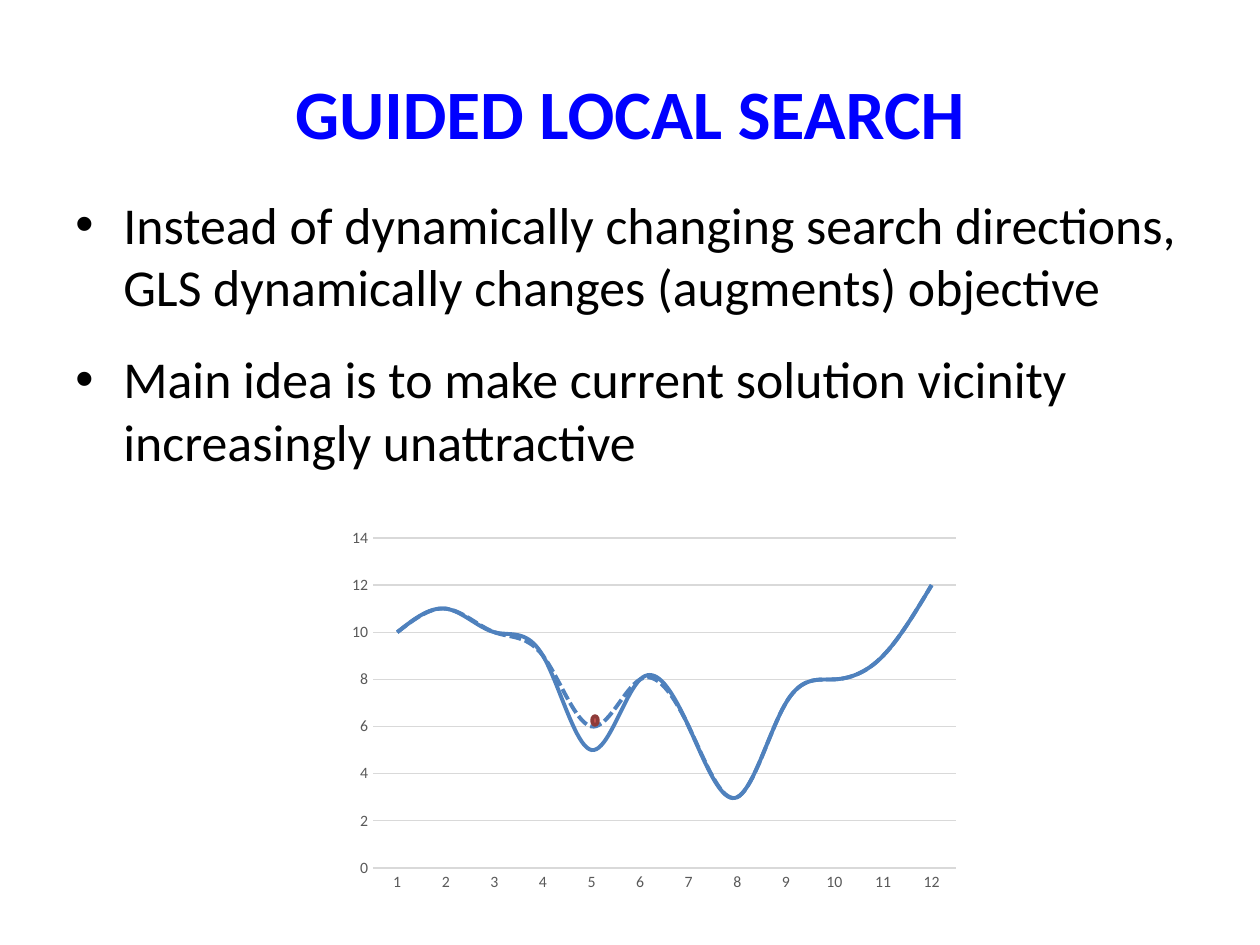
from lxml import etree
from pptx import Presentation
from pptx.chart.data import CategoryChartData
from pptx.dml.color import RGBColor
from pptx.enum.chart import XL_CHART_TYPE, XL_TICK_MARK
from pptx.enum.dml import MSO_LINE
from pptx.enum.shapes import MSO_SHAPE
from pptx.enum.text import MSO_ANCHOR, PP_ALIGN
from pptx.oxml.ns import qn
from pptx.util import Pt

LINE = XL_CHART_TYPE.LINE
NONE = XL_TICK_MARK.NONE
DASH = MSO_LINE.SQUARE_DOT
OVAL = MSO_SHAPE.OVAL
MIDDLE, TOP = MSO_ANCHOR.MIDDLE, MSO_ANCHOR.TOP
CENTER, LEFT = PP_ALIGN.CENTER, PP_ALIGN.LEFT

TITLE = ["GUIDED LOCAL SEARCH"]
POINTS = [
    "Instead of dynamically changing search directions, GLS dynamically changes (augments) objective",
    "Main idea is to make current solution vicinity increasingly unattractive",
]
CATS = [str(n) for n in range(1, 13)]
SERIES = [
    ("Series 1", [10, 11, 10, 9, 5, 8, 6, 3, 7, 8, 9, 12], None),
    ("Series 2", [10, 11, 10, 9, 6, 8, 6, 3, 7, 8, 9, 12], DASH),
]
FRAME = (339, 520, 630, 378)
PLOT = (373, 538, 583, 330)
FONT = "Calibri"
BLUE, BLACK, GRAY, GRID = "0000FF", "000000", "595959", "D9D9D9"
CURVE, RED, RIM = "4F81BD", "C0504D", "8E3B39"


def px(n):
    return round(n * 914400 / 126)


def color(code):
    return RGBColor.from_string(code)


def style(font, size, code, bold=False):
    font.name, font.size, font.bold = FONT, Pt(size), bold
    font.color.rgb = color(code)


def stroke(line, code, width):
    line.color.rgb = color(code)
    line.width = Pt(width)


def text(slide, box, lines, size, code, bold=False, align=LEFT, anchor=TOP, gap=0, indent=0):
    frame = slide.shapes.add_textbox(*map(px, box)).text_frame
    frame.word_wrap = True
    frame.vertical_anchor = anchor
    for i, line in enumerate(lines):
        para = frame.add_paragraph() if i else frame.paragraphs[0]
        para.alignment = align
        para.space_before = Pt(gap if i else 0)
        run = para.add_run()
        run.text = line
        style(run.font, size, code, bold)
        if indent:
            props = para._p.get_or_add_pPr()
            props.set("marL", str(px(indent)))
            props.set("indent", str(-px(indent)))
            etree.SubElement(props, qn("a:buFont")).set("typeface", "Arial")
            etree.SubElement(props, qn("a:buChar")).set("char", "•")


def place(chart):
    area = chart._chartSpace.find(".//" + qn("c:plotArea"))
    for old in area.findall(qn("c:layout")):
        area.remove(old)
    layout = etree.Element(qn("c:layout"))
    area.insert(0, layout)
    manual = etree.SubElement(layout, qn("c:manualLayout"))
    left, top, width, height = FRAME
    x, y, w, h = PLOT
    parts = [
        ("layoutTarget", "inner"), ("xMode", "edge"), ("yMode", "edge"),
        ("x", (x - left) / width), ("y", (y - top) / height),
        ("w", w / width), ("h", h / height),
    ]
    for name, value in parts:
        etree.SubElement(manual, qn("c:" + name)).set("val", str(value))


def draw(slide):
    data = CategoryChartData()
    data.categories = CATS
    for name, values, dash in SERIES:
        data.add_series(name, values)
    chart = slide.shapes.add_chart(LINE, *map(px, FRAME), data).chart
    chart.has_legend = chart.has_title = False
    style(chart.font, 10, BLACK)
    chart.plots[0].vary_by_categories = False
    for series, (name, values, dash) in zip(chart.plots[0].series, SERIES):
        series.smooth = True
        stroke(series.format.line, CURVE, 2.25)
        if dash:
            series.format.line.dash_style = dash
    cat, val = chart.category_axis, chart.value_axis
    for axis in (cat, val):
        axis.major_tick_mark = axis.minor_tick_mark = NONE
        style(axis.tick_labels.font, 9, GRAY)
    stroke(cat.format.line, GRID, 0.75)
    val.format.line.fill.background()
    val.minimum_scale, val.maximum_scale, val.major_unit = 0, 14, 2
    val.has_major_gridlines = True
    stroke(val.major_gridlines.format.line, GRID, 0.75)
    place(chart)


def main():
    deck = Presentation()
    deck.slide_width, deck.slide_height = px(1260), px(945)
    slide = deck.slides.add_slide(deck.slide_layouts[6])
    text(slide, (63, 63, 1134, 98), TITLE, 39.6, BLUE, bold=True, align=CENTER, anchor=MIDDLE)
    draw(slide)
    dot = slide.shapes.add_shape(OVAL, *map(px, (592, 716, 6, 9)))
    dot.shadow.inherit = False
    dot.fill.solid()
    dot.fill.fore_color.rgb = color(RED)
    stroke(dot.line, RIM, 2)
    text(slide, (63, 186, 1197, 319), POINTS, 29.6, BLACK, gap=17.5, indent=48)
    deck.save("out.pptx")


if __name__ == "__main__":
    main()
